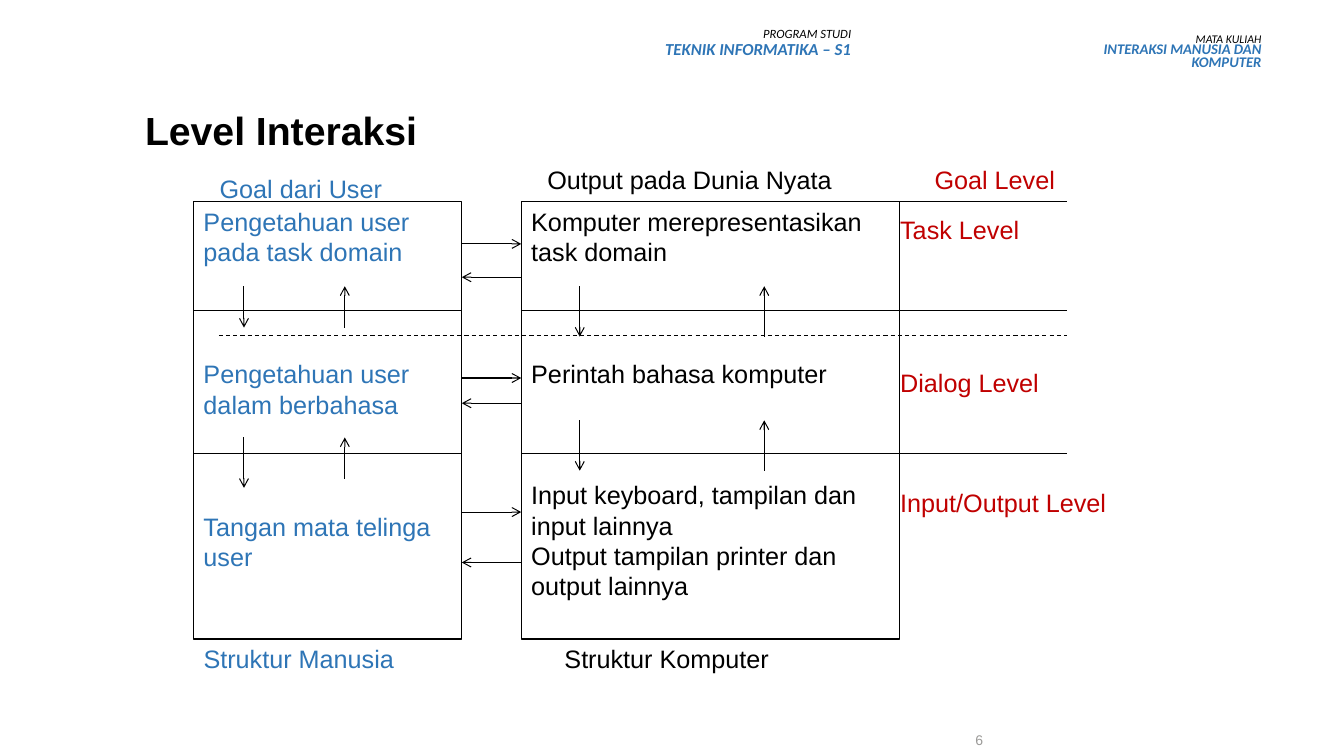
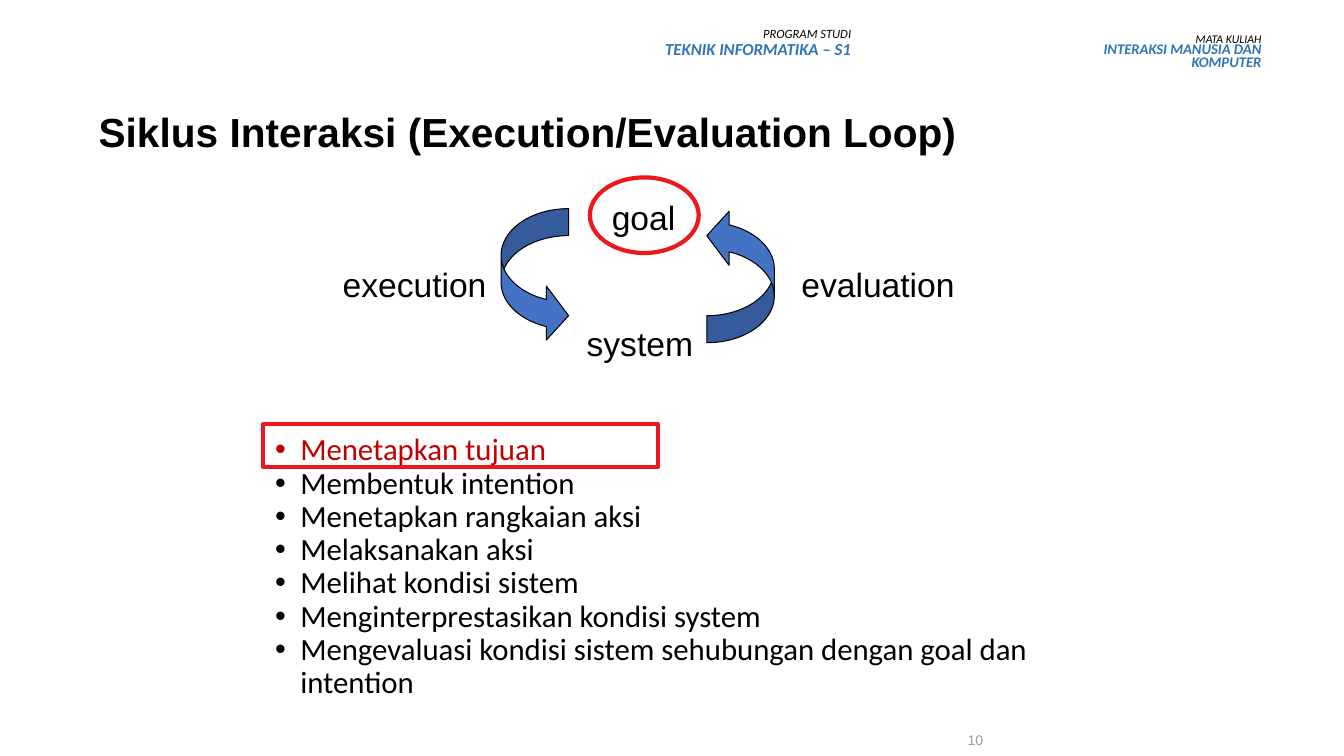
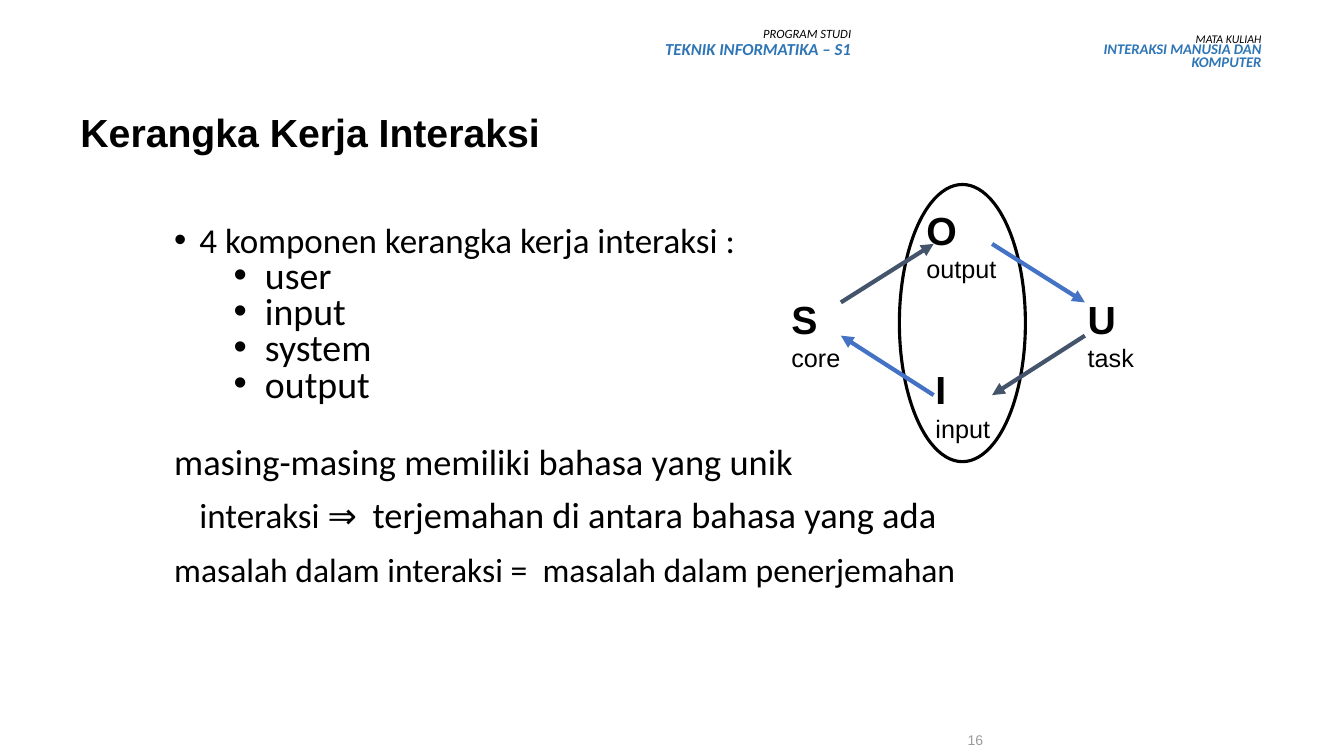
from dataclasses import dataclass, replace

from lxml import etree
from pptx import Presentation
from pptx.dml.color import RGBColor
from pptx.enum.dml import MSO_LINE
from pptx.enum.shapes import MSO_CONNECTOR, MSO_SHAPE
from pptx.enum.text import MSO_ANCHOR, PP_ALIGN
from pptx.oxml.ns import qn
from pptx.util import Pt

EMU_PER_PX = 9144
SLIDE_WIDTH, SLIDE_HEIGHT = 1333, 750
COLORS = {
    "black": "000000",
    "blue": "2E75B6",
    "red": "C00000",
    "marker": "ED181E",
    "arrow": "4472C4",
    "slate": "44546A",
    "grey": "9B9A98",
}
STRAIGHT = MSO_CONNECTOR.STRAIGHT
RECTANGLE = MSO_SHAPE.RECTANGLE
ELLIPSE = MSO_SHAPE.OVAL
CURVED_ARROW = MSO_SHAPE.CURVED_RIGHT_ARROW
DASH = MSO_LINE.DASH
TOP, MIDDLE, BOTTOM = MSO_ANCHOR.TOP, MSO_ANCHOR.MIDDLE, MSO_ANCHOR.BOTTOM
LEFT, RIGHT = PP_ALIGN.LEFT, PP_ALIGN.RIGHT


@dataclass(frozen=True)
class Style:
    size: float
    color: str = "black"
    font: str = "Arial"
    bold: bool = False
    italic: bool = False


@dataclass(frozen=True)
class Line:
    runs: tuple
    margin: int = 0
    hanging: int = 0
    space_before: int = 0


LABEL = Style(18)
CYCLE = Style(24)
SYMBOL = Style(28, bold=True)
HEADER = Style(9, font="Calibri", italic=True)
BODY = Style(22, font="Calibri")


def px(length):
    return round(length * EMU_PER_PX)


def rgb(name):
    return RGBColor.from_string(COLORS[name])


def line(text, style, **layout):
    return Line(((text, style),), **layout)


def bullet(text, style, margin=25, hanging=25):
    return line(text, style, margin=margin, hanging=hanging)


def format_run(run, style):
    run.font.size = Pt(style.size)
    run.font.name = style.font
    run.font.bold = style.bold
    run.font.italic = style.italic
    run.font.color.rgb = rgb(style.color)


def set_indent(paragraph, margin, hanging):
    properties = paragraph._p.get_or_add_pPr()
    properties.set("marL", str(px(margin)))
    properties.set("indent", str(-px(hanging)))
    if hanging:
        etree.SubElement(properties, qn("a:buFont")).set("typeface", "Arial")
        etree.SubElement(properties, qn("a:buChar")).set("char", "•")


def add_text(slide, box, lines, spacing=1.0, align=LEFT, anchor=TOP, wrap=True, inset=True):
    text_frame = slide.shapes.add_textbox(*map(px, box)).text_frame
    text_frame.word_wrap = wrap
    text_frame.vertical_anchor = anchor
    if not inset:
        text_frame.margin_left = text_frame.margin_right = 0
        text_frame.margin_top = text_frame.margin_bottom = 0
    for index, content in enumerate(lines):
        paragraph = text_frame.add_paragraph() if index else text_frame.paragraphs[0]
        paragraph.alignment = align
        paragraph.line_spacing = spacing
        paragraph.space_before = Pt(content.space_before)
        if content.margin:
            set_indent(paragraph, content.margin, content.hanging)
        for text, style in content.runs:
            run = paragraph.add_run()
            run.text = text
            format_run(run, style)


def add_label(slide, left, top, width, text, style=LABEL, height=40, wrap=True):
    add_text(slide, (left, top, width, height), [line(text, style)], wrap=wrap)


def add_outline(slide, kind, box, color="black", weight=0.75, fill=None):
    shape = slide.shapes.add_shape(kind, *map(px, box))
    shape.shadow.inherit = False
    if fill:
        shape.fill.solid()
        shape.fill.fore_color.rgb = rgb(fill)
    else:
        shape.fill.background()
    shape.line.color.rgb = rgb(color)
    shape.line.width = Pt(weight)
    return shape


def add_line(slide, start, end, color="black", weight=0.75, arrow=None, dash=None):
    connector = slide.shapes.add_connector(STRAIGHT, *map(px, start + end))
    connector.line.color.rgb = rgb(color)
    connector.line.width = Pt(weight)
    if dash:
        connector.line.dash_style = dash
    properties = connector.element.spPr
    if arrow:
        outline = properties.find(qn("a:ln"))
        etree.SubElement(outline, qn("a:tailEnd")).set("type", arrow)
    etree.SubElement(properties, qn("a:effectLst"))


def add_header(slide, box, caption, name, style, name_size, spacing):
    name_style = replace(style, size=name_size, color="blue", bold=True)
    lines = [line(caption, style), line(name, name_style)]
    add_text(slide, box, lines, spacing=spacing, align=RIGHT)


def add_slide(presentation, title, title_box, number, title_size=28):
    slide = presentation.slides.add_slide(presentation.slide_layouts[6])
    title_style = Style(title_size, bold=True)
    add_text(slide, title_box, [line(title, title_style)], spacing=0.9, anchor=MIDDLE)
    add_header(slide, (603, 22, 251, 56), "PROGRAM STUDI",
               "TEKNIK INFORMATIKA – S1", HEADER, 12, 0.9)
    add_header(slide, (1041, 30, 220, 48), "MATA KULIAH",
               "INTERAKSI MANUSIA DAN KOMPUTER", replace(HEADER, size=8.4), 10.5, 0.7)
    add_text(slide, (892, 702, 83, 40), [line(number, Style(10, "grey"))],
             align=RIGHT, anchor=BOTTOM, inset=False)
    return slide


def build_levels(presentation):
    slide = add_slide(presentation, "Level Interaksi", (134, 87, 1066, 89), "6")
    blue, red = replace(LABEL, color="blue"), replace(LABEL, color="red")
    human_left, human_right = 192, 458
    computer_left, computer_right = 517, 892
    level_right = 1058
    top, bottom = 200, 634

    for left, right in ((human_left, human_right), (computer_left, computer_right)):
        add_outline(slide, RECTANGLE, (left, top, right - left, bottom - top))
    for y in (308, 450):
        add_line(slide, (human_left, y), (human_right, y))
    for y in (top, 308, 450):
        add_line(slide, (computer_left, y), (level_right, y))
    add_line(slide, (217, 333), (level_right, 333), dash=DASH)

    for y in (242, 375, 508):
        add_line(slide, (human_right, y), (computer_left, y), arrow="arrow")
    for y in (275, 400, 558):
        add_line(slide, (computer_left, y), (human_right, y), arrow="arrow")
    for x, start, end in (
        (242, 284, 325), (242, 434, 484), (342, 325, 284), (342, 475, 434),
        (575, 284, 334), (575, 417, 467), (758, 334, 284), (758, 467, 417),
    ):
        add_line(slide, (x, start), (x, end), arrow="arrow")

    for left, width, style, entries in (
        (human_left, 267, blue, (
            (top, "Pengetahuan user pada task domain"),
            (351, "Pengetahuan user dalam berbahasa"),
            (502, "Tangan mata telinga user"))),
        (computer_left, 375, LABEL, (
            (top, "Komputer merepresentasikan task domain"),
            (351, "Perintah bahasa komputer"))),
        (883, 233, red, (
            (208, "Task Level"),
            (359, "Dialog Level"),
            (479, "Input/Output Level"))),
    ):
        for y, text in entries:
            add_label(slide, left, y, width, text, style, height=70)
    devices = ("Input keyboard, tampilan dan input lainnya",
               "Output tampilan printer dan output lainnya")
    add_text(slide, (computer_left, 471, 375, 130), [line(text, LABEL) for text in devices])

    for left, y, width, text, style in (
        (208, 167, 225, "Goal dari User", blue),
        (533, 158, 325, "Output pada Dunia Nyata", LABEL),
        (917, 158, 175, "Goal Level", red),
        (192, 633, 258, "Struktur Manusia", blue),
        (550, 633, 258, "Struktur Komputer", LABEL),
    ):
        add_label(slide, left, y, width, text, style)


def build_cycle(presentation):
    slide = add_slide(presentation, "Siklus Interaksi (Execution/Evaluation Loop)",
                      (88, 96, 1008, 75), "10", title_size=29)
    for left, top, width, text in (
        (572, 315, 126, "system"), (785, 257, 172, "evaluation"),
        (330, 257, 163, "execution"), (597, 190, 83, "goal"),
    ):
        add_label(slide, left, top, width, text, CYCLE, height=50, wrap=False)
    for left, rotation in ((497, 0), (701, 180)):
        arrow = add_outline(slide, CURVED_ARROW, (left, 207, 67, 133), fill="arrow")
        for index, value in enumerate((0.4, 0.8, 0.33)):
            arrow.adjustments[index] = value
        arrow.rotation = rotation

    stages = [bullet(text, BODY) for text in (
        "Membentuk intention",
        "Menetapkan rangkaian aksi",
        "Melaksanakan aksi",
        "Melihat kondisi sistem",
        "Menginterprestasikan kondisi system",
        "Mengevaluasi kondisi sistem sehubungan dengan goal dan intention",
    )]
    current_stage = bullet("Menetapkan tujuan", replace(BODY, color="red"))
    add_text(slide, (263, 426, 833, 280), [current_stage] + stages, spacing=0.9)
    add_outline(slide, ELLIPSE, (585, 176, 108, 75), "marker", 3)
    add_outline(slide, RECTANGLE, (261, 421, 392, 42), "marker", 3)


def build_framework(presentation):
    slide = add_slide(presentation, "Kerangka Kerja Interaksi", (70, 89, 1066, 89), "16")
    small, medium, large, item = (replace(BODY, size=size) for size in (24, 25, 26, 27))
    components = [bullet(text, item, margin=90, hanging=31)
                  for text in ("user", "input", "system", "output")]
    translation = (("interaksi ⇒  ", medium),
                   ("terjemahan di antara bahasa yang ada", large))
    lines = [
        bullet("4 komponen kerangka kerja interaksi :", medium),
        *components,
        line("masing-masing memiliki bahasa yang unik", large, space_before=30),
        Line(translation, margin=25, space_before=13),
        line("masalah dalam interaksi =  masalah dalam penerjemahan", small, space_before=15),
    ]
    add_text(slide, (163, 220, 900, 400), lines, spacing=0.8)

    add_outline(slide, ELLIPSE, (892, 183, 125, 275), weight=2.25)
    for left, top, width, symbol, name in (
        (775, 288, 69, "S", "core"), (1069, 288, 66, "U", "task"),
        (909, 200, 90, "O", "output"), (918, 358, 74, "I", "input"),
    ):
        add_text(slide, (left, top, width, 87),
                 [line(symbol, SYMBOL), line(name, LABEL)], wrap=False)
    for start, end, color in (
        ((834, 300), (926, 242), "slate"), ((984, 242), (1076, 300), "arrow"),
        ((926, 392), (834, 333), "arrow"), ((1076, 333), (984, 392), "slate"),
    ):
        add_line(slide, start, end, color, 3, arrow="triangle")


def main():
    presentation = Presentation()
    presentation.slide_width = px(SLIDE_WIDTH)
    presentation.slide_height = px(SLIDE_HEIGHT)
    build_levels(presentation)
    build_cycle(presentation)
    build_framework(presentation)
    presentation.save("out.pptx")


if __name__ == "__main__":
    main()
